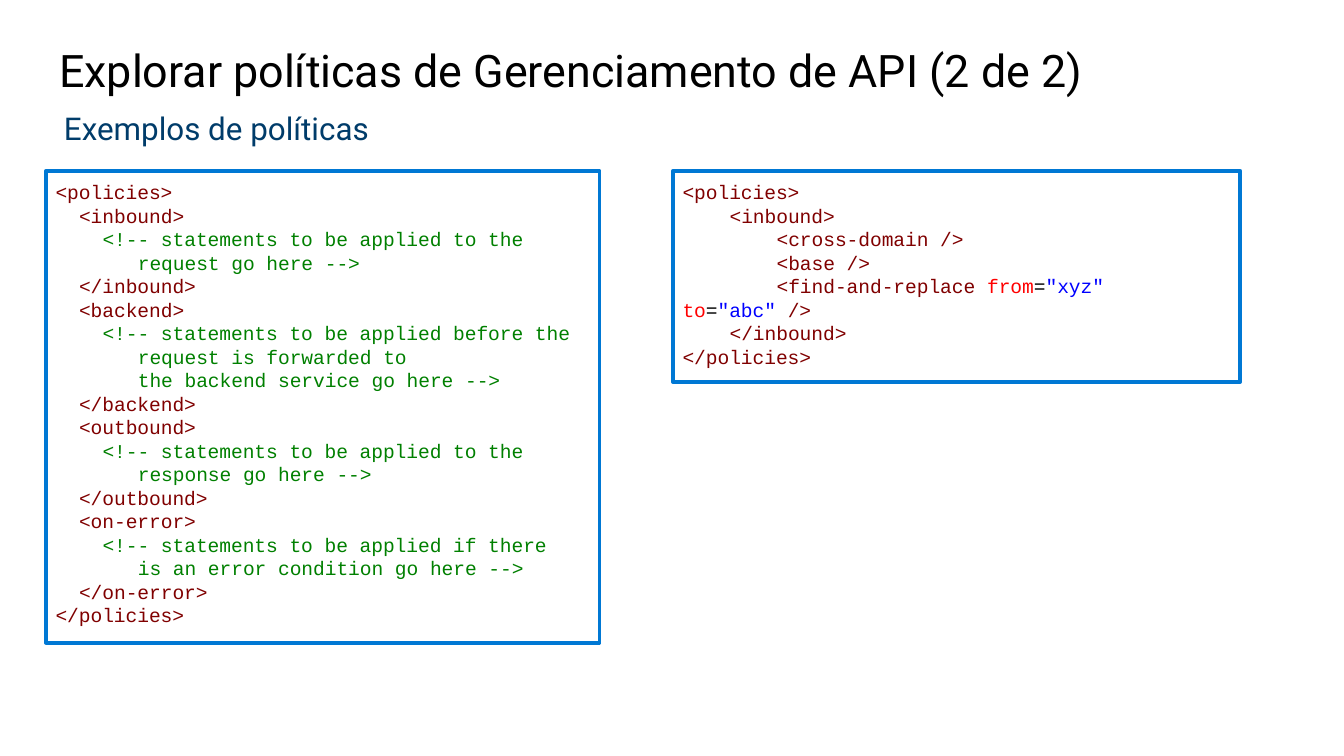
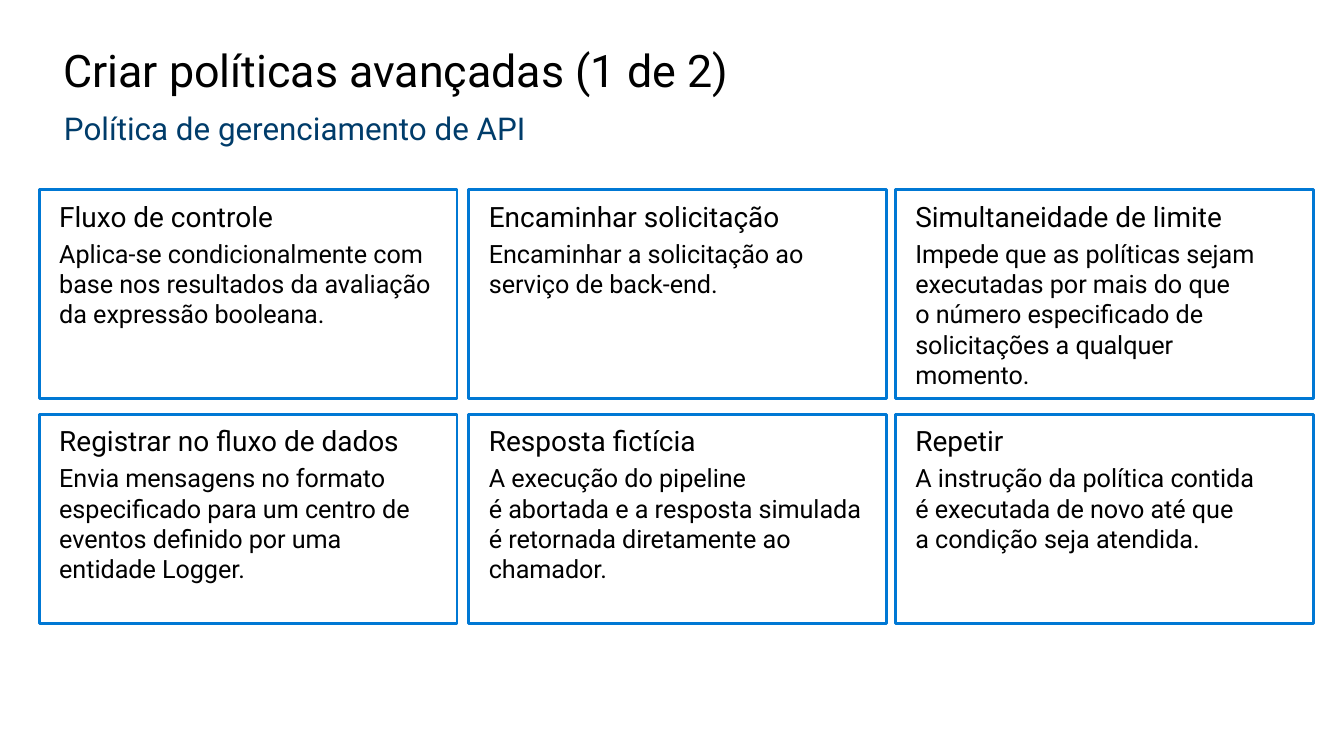
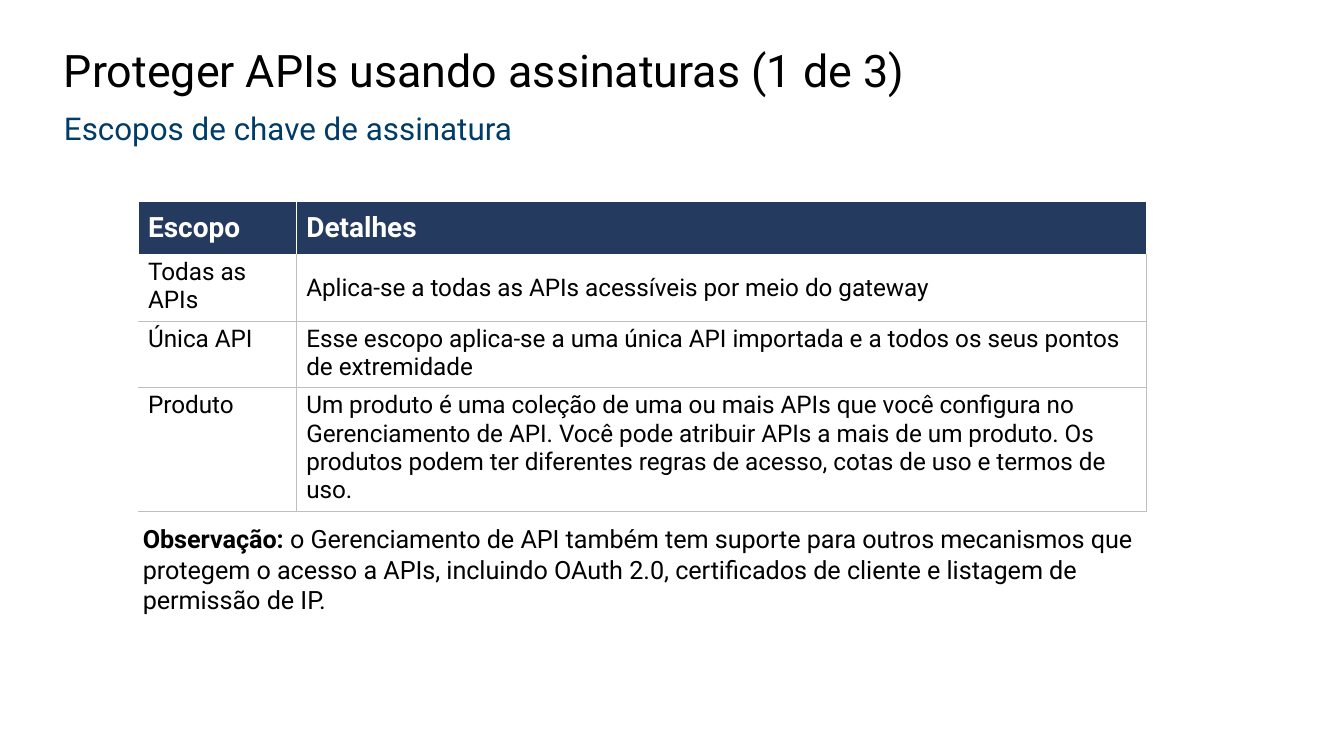
"""Build three slides about API management policies and subscriptions."""
from copy import deepcopy

from lxml.etree import SubElement
from pptx import Presentation
from pptx.dml.color import RGBColor
from pptx.enum.shapes import MSO_SHAPE
from pptx.enum.text import MSO_ANCHOR, MSO_AUTO_SIZE, PP_ALIGN
from pptx.oxml.ns import qn
from pptx.util import Cm, Pt

COLORS = {
    "black": "000000", "white": "FFFFFF", "subtitle": "003C6A",
    "frame": "0078D4", "header": "243A5E", "grid": "BFBFBF",
    "tag": "800000", "comment": "008000", "attribute": "FF0000", "value": "0000FF",
}
TEXT_FONT, CODE_FONT = "Roboto", "Courier New"
CODE_SIZE = 10.5
CODE_CHAR_WIDTH = 0.6 * CODE_SIZE

HEADINGS = [
    ("Explorar políticas de Gerenciamento de API (2 de 2)", "Exemplos de políticas", 0.87),
    ("Criar políticas avançadas (1 de 2)", "Política de gerenciamento de API", 0.95),
    ("Proteger APIs usando assinaturas (1 de 3)", "Escopos de chave de assinatura", 0.96),
]

STRUCTURE_CODE = [
    (0, ("tag", "<policies>")),
    (2, ("tag", "<inbound>")),
    (4, ("comment", "<!-- statements to be applied to the")),
    (7, ("comment", "request go here -->")),
    (2, ("tag", "</inbound>")),
    (2, ("tag", "<backend>")),
    (4, ("comment", "<!-- statements to be applied before the")),
    (7, ("comment", "request is forwarded to")),
    (7, ("comment", "the backend service go here -->")),
    (2, ("tag", "</backend>")),
    (2, ("tag", "<outbound>")),
    (4, ("comment", "<!-- statements to be applied to the")),
    (7, ("comment", "response go here -->")),
    (2, ("tag", "</outbound>")),
    (2, ("tag", "<on-error>")),
    (4, ("comment", "<!-- statements to be applied if there")),
    (7, ("comment", "is an error condition go here -->")),
    (2, ("tag", "</on-error>")),
    (0, ("tag", "</policies>")),
]
REPLACE_CODE = [
    (0, ("tag", "<policies>")),
    (4, ("tag", "<inbound>")),
    (8, ("tag", "<cross-domain />")),
    (8, ("tag", "<base />")),
    (8, ("tag", "<find-and-replace "), ("attribute", "from"), ("black", "="),
     ("value", '"xyz" '), ("attribute", "to"), ("black", "="),
     ("value", '"abc" '), ("tag", "/>")),
    (4, ("tag", "</inbound>")),
    (0, ("tag", "</policies>")),
]
CODE_PANELS = [
    (STRUCTURE_CODE, (0.87, 3.23, 10.46, 8.92)),
    (REPLACE_CODE, (12.72, 3.23, 10.72, 3.99)),
]

POLICY_CARDS = [
    ("Fluxo de controle",
     "Aplica-se condicionalmente com base nos resultados da avaliação da expressão booleana."),
    ("Encaminhar solicitação", "Encaminhar a solicitação ao serviço de back-end."),
    ("Simultaneidade de limite",
     "Impede que as políticas sejam executadas por mais do que \n"
     "o número especificado de solicitações a qualquer momento."),
    ("Registrar no fluxo de dados",
     "Envia mensagens no formato especificado para um centro de eventos definido por uma "
     "entidade Logger."),
    ("Resposta fictícia",
     "A execução do pipeline \né abortada e a resposta simulada é retornada diretamente "
     "ao chamador."),
    ("Repetir",
     "A instrução da política contida \né executada de novo até que \n"
     "a condição seja atendida."),
]
CARD_LEFTS, CARD_TOPS = (0.74, 8.86, 16.92), (3.59, 7.83)
CARD_WIDTH, CARD_HEIGHT = 7.9, 3.95

SCOPES = [
    ("Escopo", "Detalhes"),
    ("Todas as APIs", "Aplica-se a todas as APIs acessíveis por meio do gateway"),
    ("Única API",
     "Esse escopo aplica-se a uma única API importada e a todos os seus pontos \n"
     "de extremidade"),
    ("Produto",
     "Um produto é uma coleção de uma ou mais APIs que você configura no Gerenciamento de "
     "API. Você pode atribuir APIs a mais de um produto. Os produtos podem ter diferentes "
     "regras de acesso, cotas de uso e termos de uso."),
]
SCOPE_COLUMNS, SCOPE_ROWS = (2.99, 16.05), (1.0, 1.26, 1.26, 2.14)
NOTE = [
    ("Observação:", True),
    (" o Gerenciamento de API também tem suporte para outros mecanismos que protegem o "
     "acesso a APIs, incluindo OAuth 2.0, certificados de cliente e listagem de permissão "
     "de IP.", False),
]


def color(name):
    return RGBColor.from_string(COLORS[name])


def style_span(span, size, color_name="black", font=TEXT_FONT, bold=False):
    span.font.size, span.font.name, span.font.bold = Pt(size), font, bold
    span.font.color.rgb = color(color_name)


def write(para, text, size, color_name="black", bold=False):
    para.text = text
    para.alignment = PP_ALIGN.LEFT
    for span in para.runs:
        style_span(span, size, color_name, bold=bold)
    for line_break in para._p.findall(qn("a:br")):
        line_break.append(deepcopy(para.runs[0]._r.rPr))


def space(para, before=2.9, after=4.4):
    para.space_before, para.space_after = Pt(before), Pt(after)


def set_margins(target, side, upright):
    target.margin_left = target.margin_right = Cm(side)
    target.margin_top = target.margin_bottom = Cm(upright)


def add_text_box(page, place, anchor=MSO_ANCHOR.TOP):
    frame = page.shapes.add_textbox(*map(Cm, place)).text_frame
    frame.word_wrap = True
    frame.vertical_anchor = anchor
    return frame


def add_frame(page, place, line_width, side_margin):
    box = page.shapes.add_shape(MSO_SHAPE.RECTANGLE, *map(Cm, place))
    box.shadow.inherit = False
    box.fill.background()
    box.line.color.rgb = color("frame")
    box.line.width = Pt(line_width)
    frame = box.text_frame
    frame.word_wrap = True
    frame.vertical_anchor = MSO_ANCHOR.TOP
    set_margins(frame, side_margin, 0.18)
    return frame


def add_page(deck, title, subtitle, title_left):
    page = deck.slides.add_slide(deck.slide_layouts[6])
    para = add_text_box(page, (title_left, 0, 21.9, 2.77), MSO_ANCHOR.MIDDLE).paragraphs[0]
    write(para, title, 24)
    para.line_spacing = 0.9
    para = add_text_box(page, (0.96, 2.08, 23.37, 0.89)).paragraphs[0]
    write(para, subtitle, 16.8, "subtitle")
    para.line_spacing = 0.8
    space(para, 10, 0)
    return page


def add_code(page, lines, place):
    frame = add_frame(page, place, 2, 0.18)
    frame.auto_size = MSO_AUTO_SIZE.SHAPE_TO_FIT_TEXT
    frame.text = "\n".join("" for _ in lines)
    for para, (indent, *tokens) in zip(frame.paragraphs, lines):
        para.alignment = PP_ALIGN.LEFT
        para._p.get_or_add_pPr().set("indent", str(Pt(indent * CODE_CHAR_WIDTH)))
        for kind, text in tokens:
            span = para.add_run()
            span.text = text
            style_span(span, CODE_SIZE, kind, CODE_FONT)


def add_cards(page):
    for index, (heading, details) in enumerate(POLICY_CARDS):
        row, column = divmod(index, len(CARD_LEFTS))
        place = CARD_LEFTS[column], CARD_TOPS[row], CARD_WIDTH, CARD_HEIGHT
        frame = add_frame(page, place, 1.5, 0.38)
        write(frame.paragraphs[0], heading, 15)
        para = frame.add_paragraph()
        write(para, details, 13.5)
        space(para)


def set_borders(cell, borders):
    properties = cell._tc.get_or_add_tcPr()
    for position, side in enumerate(borders):
        line = properties.makeelement(qn(f"a:ln{side}"), {"w": str(Pt(0.5))})
        fill = SubElement(line, qn("a:solidFill"))
        SubElement(fill, qn("a:srgbClr"), val=COLORS[borders[side]])
        properties.insert(position, line)


def add_scopes(page):
    size = Cm(sum(SCOPE_COLUMNS)), Cm(sum(SCOPE_ROWS))
    table = page.shapes.add_table(
        len(SCOPE_ROWS), len(SCOPE_COLUMNS), Cm(2.62), Cm(3.81), *size).table
    for column, width in zip(table.columns, SCOPE_COLUMNS):
        column.width = Cm(width)
    for row, height in zip(table.rows, SCOPE_ROWS):
        row.height = Cm(height)
    for row, texts in enumerate(SCOPES):
        for column, text in enumerate(texts):
            cell = table.cell(row, column)
            header = row == 0
            cell.fill.solid()
            cell.fill.fore_color.rgb = color("header" if header else "white")
            set_margins(cell, 0.18, 0.07)
            centred = header or (row, column) == (1, 1)
            cell.vertical_anchor = MSO_ANCHOR.MIDDLE if centred else MSO_ANCHOR.TOP
            write(cell.text_frame.paragraphs[0], text, 15 if header else 13,
                  "white" if header else "black", header)
            if header:
                set_borders(cell, {"L": "white", "R": "white"})
            else:
                set_borders(cell, {"L": "grid" if column else "white", "R": "grid",
                                   "T": "grid" if row > 1 else "header", "B": "grid"})


def add_note(page):
    frame = add_text_box(page, (2.7, 9.9, 19.46, 1.75))
    set_margins(frame, 0, 0)
    para = frame.paragraphs[0]
    space(para)
    for text, bold in NOTE:
        span = para.add_run()
        span.text = text
        style_span(span, 13.5, bold=bold)


def main():
    deck = Presentation()
    deck.slide_width, deck.slide_height = Cm(25.4), Cm(14.29)
    code_page, card_page, scope_page = [add_page(deck, *heading) for heading in HEADINGS]
    for lines, place in CODE_PANELS:
        add_code(code_page, lines, place)
    add_cards(card_page)
    add_scopes(scope_page)
    add_note(scope_page)
    deck.save("out.pptx")


if __name__ == "__main__":
    main()
